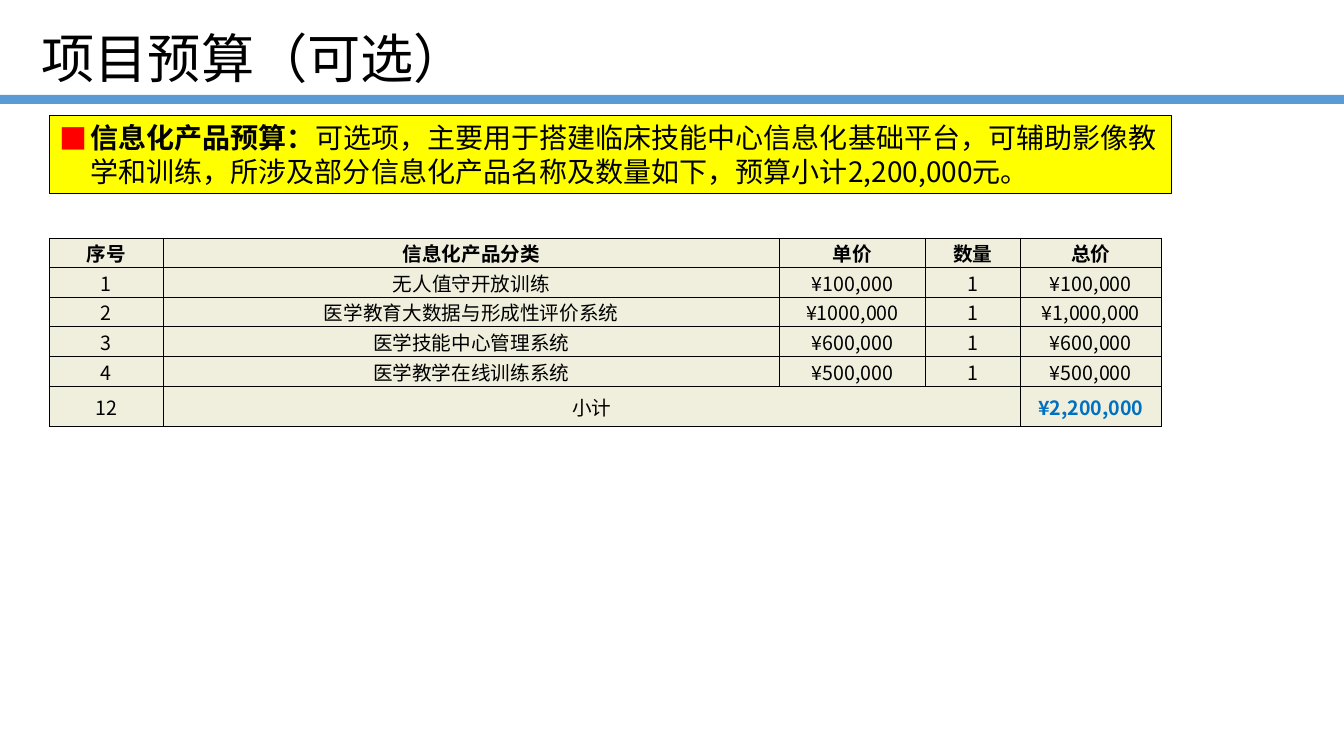
from dataclasses import astuple, dataclass
from typing import Any

from lxml.etree import SubElement
from pptx import Presentation
from pptx.dml.color import RGBColor
from pptx.enum.shapes import MSO_SHAPE as Preset
from pptx.enum.text import MSO_ANCHOR as Anchor, MSO_AUTO_SIZE as AutoSize, PP_ALIGN as Align
from pptx.oxml.ns import qn
from pptx.util import Inches, Pt

FONT = "Noto Sans CJK SC"
BLACK, RED, BLUE, YELLOW = "000000", "FF0000", "0070C0", "FFFF00"
BAR_BLUE, CELL_BEIGE = "5B9BD5", "F0EFDD"


@dataclass
class Box:
    left: float
    top: float
    width: float
    height: float

    def lengths(self) -> list[int]:
        return [Inches(value) for value in astuple(self)]


@dataclass
class BudgetRow:
    number: str
    product: str
    price: str
    quantity: str
    total: str
    height: float
    bold: bool = False


COLUMN_WIDTHS = (1.13, 6.11, 1.45, 0.94, 1.4)
BUDGET = (
    BudgetRow("序号", "信息化产品分类", "单价", "数量", "总价", 0.29, True),
    BudgetRow("1", "无人值守开放训练", "¥100,000", "1", "¥100,000", 0.24),
    BudgetRow("2", "医学教育大数据与形成性评价系统", "¥1000,000", "1", "¥1,000,000", 0.29),
    BudgetRow("3", "医学技能中心管理系统", "¥600,000", "1", "¥600,000", 0.25),
    BudgetRow("4", "医学教学在线训练系统", "¥500,000", "1", "¥500,000", 0.25),
    BudgetRow("12", "小计", "", "", "¥2,200,000", 0.4),
)


def colour(value: str) -> RGBColor:
    return RGBColor.from_string(value)


def set_format(target: Any, values: dict[str, Any]) -> None:
    for name, value in values.items():
        setattr(target, name, value)


def add_span(para: Any, text: str, size: float, shade: str = BLACK, bold: bool = False) -> None:
    span = para.add_run()
    span.text = text
    set_format(span.font, {"name": FONT, "size": Pt(size), "bold": bold})
    span.font.color.rgb = colour(shade)
    SubElement(span.font._element, qn("a:ea"), typeface=FONT)


def add_rectangle(page: Any, box: Box, fill: str) -> Any:
    shape = page.shapes.add_shape(Preset.RECTANGLE, *box.lengths())
    shape.shadow.inherit = False
    shape.fill.solid()
    shape.fill.fore_color.rgb = colour(fill)
    shape.line.fill.background()
    return shape


def add_title(page: Any, box: Box, text: str) -> None:
    title = page.shapes.title
    set_format(title, dict(zip(("left", "top", "width", "height"), box.lengths())))
    set_format(title.text_frame, {"vertical_anchor": Anchor.MIDDLE, "word_wrap": True})
    para = title.text_frame.paragraphs[0]
    set_format(para, {"alignment": Align.LEFT, "line_spacing": 0.9})
    add_span(para, text, 38)


def add_bullet(para: Any, symbol: str, shade: str, indent: float) -> None:
    properties = para._p.get_or_add_pPr()
    properties.set("marL", str(Inches(indent)))
    properties.set("indent", str(-Inches(indent)))
    bullet_colour = SubElement(properties, qn("a:buClr"))
    SubElement(bullet_colour, qn("a:srgbClr"), val=shade)
    SubElement(properties, qn("a:buFont"), typeface=FONT)
    SubElement(properties, qn("a:buChar"), char=symbol)


def add_summary(page: Any, box: Box, heading: str, body: str) -> None:
    summary = add_rectangle(page, box, YELLOW)
    summary.line.color.rgb = colour(BLACK)
    summary.line.width = Pt(0.75)
    frame = summary.text_frame
    set_format(frame, {"word_wrap": True, "auto_size": AutoSize.SHAPE_TO_FIT_TEXT,
                       "vertical_anchor": Anchor.TOP})
    para = frame.paragraphs[0]
    add_bullet(para, "■", RED, 0.31)
    set_format(para, {"alignment": Align.LEFT, "line_spacing": Pt(24)})
    add_span(para, heading, 20, bold=True)
    add_span(para, body, 20)


def add_borders(cell: Any) -> None:
    properties = cell._tc.get_or_add_tcPr()
    for side in ("lnL", "lnR", "lnT", "lnB"):
        line = SubElement(properties, qn(f"a:{side}"), w=str(Pt(0.5)))
        fill = SubElement(line, qn("a:solidFill"))
        SubElement(fill, qn("a:srgbClr"), val=BLACK)


def format_cell(cell: Any) -> None:
    add_borders(cell)
    cell.fill.solid()
    cell.fill.fore_color.rgb = colour(CELL_BEIGE)
    edge = Inches(0.01)
    set_format(cell, {"margin_left": edge, "margin_top": edge, "margin_right": edge,
                      "margin_bottom": 0, "vertical_anchor": Anchor.MIDDLE})


def add_budget(page: Any, box: Box) -> None:
    table = page.shapes.add_table(len(BUDGET), len(COLUMN_WIDTHS), *box.lengths()).table
    set_format(table, {"first_row": False, "horz_banding": False})
    for column, width in zip(table.columns, COLUMN_WIDTHS):
        column.width = Inches(width)
    last = len(BUDGET) - 1
    table.cell(last, 1).merge(table.cell(last, 3))
    for index, entry in enumerate(BUDGET):
        table.rows[index].height = Inches(entry.height)
        texts = (entry.number, entry.product, entry.price, entry.quantity, entry.total)
        for position, text in enumerate(texts):
            cell = table.cell(index, position)
            format_cell(cell)
            if cell.is_spanned:
                continue
            grand_total = index == last and position == 4
            para = cell.text_frame.paragraphs[0]
            para.alignment = Align.CENTER
            add_span(para, text, 14, BLUE if grand_total else BLACK, entry.bold or grand_total)


def main() -> None:
    deck = Presentation()
    set_format(deck, {"slide_width": Inches(13.33), "slide_height": Inches(7.5)})
    page = deck.slides.add_slide(deck.slide_layouts.get_by_name("Title Only"))
    add_rectangle(page, Box(0, 0.94, 13.33, 0.09), BAR_BLUE)
    add_title(page, Box(0.31, -0.12, 11.5, 1.45), "项目预算（可选）")
    add_budget(page, Box(0.49, 2.36, 11.03, 1.72))
    add_summary(page, Box(0.49, 1.15, 11.13, 0.77), "信息化产品预算：",
                "可选项，主要用于搭建临床技能中心信息化基础平台，可辅助影像教学和训练，"
                "所涉及部分信息化产品名称及数量如下，预算小计2,200,000元。")
    deck.save("out.pptx")


if __name__ == "__main__":
    main()
